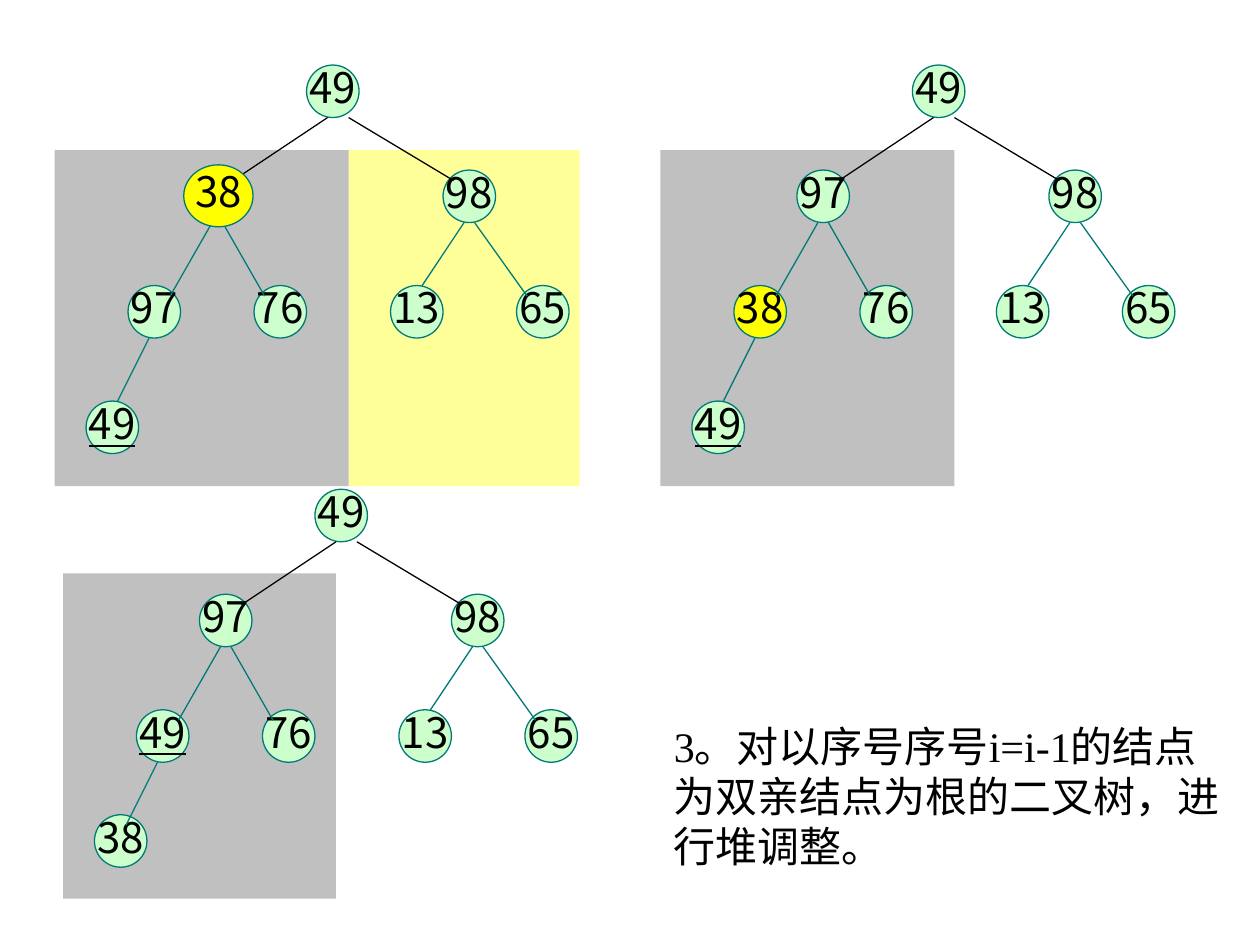
from lxml import etree
from pptx import Presentation
from pptx import util as u
from pptx.dml.color import RGBColor
from pptx.enum import shapes, text
from pptx.oxml.ns import qn

PX = 7620  # EMU per px: 120 px to the inch
NODE = 50
GREEN, YELLOW, GRAY, PALE = "CCFFCC", "FFFF00", "C0C0C0", "FFFF99"
TEAL, BLACK = "007A77", "000000"

# Places are measured from the top left corner of each tree's root
PLACES = [(0, 0), (-110, 100), (130, 100),
          (-170, 210), (-50, 210), (80, 210), (200, 210)]
EDGES = [
    (20, 50, -70, 110, BLACK), (40, 50, 140, 110, BLACK),
    (-90, 150, -130, 220, TEAL), (-80, 150, -40, 220, TEAL),
    (150, 150, 110, 210, TEAL), (160, 150, 210, 220, TEAL),
    (-150, 260, -180, 320, TEAL),
]


def color(value):
    return RGBColor.from_string(value)


def write(frame, words, font="Noto Sans CJK SC", size=24, ink=BLACK,
          underline=None, align=None, spacing=None):
    paragraph = frame.paragraphs[0]
    paragraph.alignment = align
    paragraph.line_spacing = spacing
    run = paragraph.add_run()
    run.text = words
    run.font.name = font
    run.font.size = u.Pt(size)
    run.font.color.rgb = color(ink)
    run.font.underline = underline


class HeapSlide:
    def __init__(self, presentation):
        self.slide = presentation.slides.add_slide(presentation.slide_layouts[6])
        self.line_width = u.Pt(0.75)

    def add_filled(self, kind, left, top, width, height, fill):
        shape = self.slide.shapes.add_shape(
            kind, *(value * PX for value in (left, top, width, height)))
        shape.shadow.inherit = False
        shape.fill.solid()
        shape.fill.fore_color.rgb = color(fill)
        return shape

    def panel(self, left, top, width, height, fill):
        shape = self.add_filled(
            shapes.MSO_SHAPE.RECTANGLE, left, top, width, height, fill)
        shape.line.fill.background()

    def node(self, left, top, words, fill=GREEN, width=NODE, height=NODE,
             underline=None):
        shape = self.add_filled(
            shapes.MSO_SHAPE.OVAL, left, top, width, height, fill)
        shape.line.color.rgb = color(TEAL)
        shape.line.width = self.line_width
        frame = shape.text_frame
        frame.word_wrap = False
        frame.vertical_anchor = text.MSO_ANCHOR.MIDDLE
        write(frame, words, underline=underline,
              align=text.PP_ALIGN.CENTER, spacing=0.8)

    def edge(self, x1, y1, x2, y2, ink):
        line = self.slide.shapes.add_connector(
            shapes.MSO_CONNECTOR.STRAIGHT,
            *(value * PX for value in (x1, y1, x2, y2)))
        line.line.color.rgb = color(ink)
        line.line.width = self.line_width
        etree.SubElement(line._element.spPr, qn("a:effectLst"))

    def tree(self, left, top, labels, leaf_top=320, underlined=None,
             marked=None):
        """Labels run level by level; None leaves a place empty."""
        places = PLACES + [(-210, leaf_top)]
        for index, ((x, y), label) in enumerate(zip(places, labels)):
            if label:
                self.node(left + x, top + y, label,
                          fill=YELLOW if index == marked else GREEN,
                          underline=True if index == underlined else None)
        for x1, y1, x2, y2, ink in EDGES:
            self.edge(left + x1, top + y1, left + x2, top + y2, ink)

    def note(self, left, top, width, height, words):
        box = self.slide.shapes.add_textbox(
            *(value * PX for value in (left, top, width, height)))
        box.text_frame.word_wrap = True
        box.text_frame.auto_size = text.MSO_AUTO_SIZE.SHAPE_TO_FIT_TEXT
        write(box.text_frame, words, font="Times New Roman")


def main():
    presentation = Presentation()
    presentation.slide_width = 1200 * PX
    presentation.slide_height = 900 * PX
    heap = HeapSlide(presentation)

    # Before adjusting: the enlarged node 38 lies over its edges
    heap.panel(332, 143, 220, 320, PALE)
    heap.panel(52, 143, 280, 320, GRAY)
    heap.tree(292, 62, ["49", None, "98", "97", "76", "13", "65", "49"],
              underlined=7)
    heap.node(175, 157, "38", fill=YELLOW, width=66, height=59)

    # Explanation
    heap.note(630, 680, 550, 156,
              "3。对以序号序号i=i-1的结点为双亲结点为根的二叉树，进行堆调整。")

    # After the first swap
    heap.panel(629, 143, 280, 320, GRAY)
    heap.tree(869, 62, ["49", "97", "98", "38", "76", "13", "65", "49"],
              underlined=7, marked=3)

    # After the second swap
    heap.panel(60, 546, 260, 310, GRAY)
    heap.tree(300, 466, ["49", "97", "98", "49", "76", "13", "65", "38"],
              leaf_top=310, underlined=3)

    presentation.save("out.pptx")


if __name__ == "__main__":
    main()
